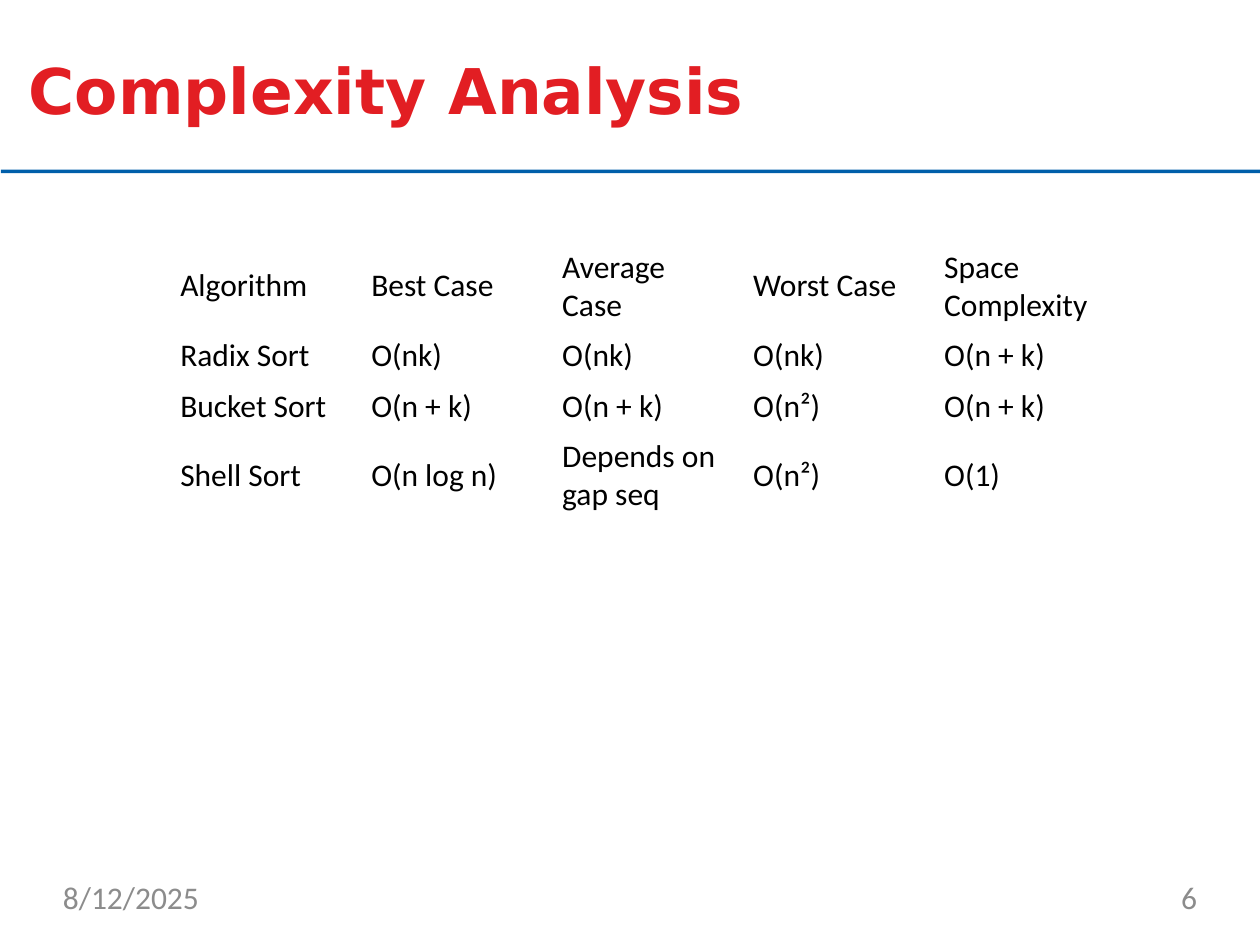
from pptx import Presentation
from pptx.dml.color import RGBColor
from pptx.enum.shapes import MSO_SHAPE
from pptx.enum.text import MSO_ANCHOR, PP_ALIGN
from pptx.util import Cm, Pt

COMPLEXITIES = [
    ["Algorithm", "Best Case", "Average Case", "Worst Case", "Space Complexity"],
    ["Radix Sort", "O(nk)", "O(nk)", "O(nk)", "O(n + k)"],
    ["Bucket Sort", "O(n + k)", "O(n + k)", "O(n²)", "O(n + k)"],
    ["Shell Sort", "O(n log n)", "Depends on gap seq", "O(n²)", "O(1)"],
]
ROW_HEIGHTS = [1.57, 0.91, 0.91, 1.57]
COLUMN_WIDTH = 3.85


def color(hex_code):
    return RGBColor.from_string(hex_code)


def style(paragraph, size, hex_code, font="Calibri", bold=False):
    paragraph.font.name = font
    paragraph.font.size = Pt(size)
    paragraph.font.bold = bold
    paragraph.font.color.rgb = color(hex_code)


def add_text(slide, text, left, top, width, height, inset_left=0, inset_top=0):
    box = slide.shapes.add_textbox(Cm(left), Cm(top), Cm(width), Cm(height))
    frame = box.text_frame
    frame.word_wrap = True
    frame.margin_left, frame.margin_top = Cm(inset_left), Cm(inset_top)
    frame.margin_right = frame.margin_bottom = 0
    paragraph = frame.paragraphs[0]
    paragraph.text = text
    return paragraph


def add_rule(slide):
    rule = slide.shapes.add_shape(
        MSO_SHAPE.RECTANGLE, Cm(0.02), Cm(3.42), Cm(25.4), Cm(0.07))
    rule.shadow.inherit = False
    rule.fill.solid()
    rule.fill.fore_color.rgb = color("005FAA")
    rule.line.fill.background()


def add_complexity_table(slide, left, top):
    column_count = len(COMPLEXITIES[0])
    table = slide.shapes.add_table(
        len(COMPLEXITIES), column_count, Cm(left), Cm(top),
        Cm(COLUMN_WIDTH * column_count), Cm(sum(ROW_HEIGHTS))).table
    table.first_row = table.horz_banding = False
    for column in table.columns:
        column.width = Cm(COLUMN_WIDTH)
    for row, height, entries in zip(table.rows, ROW_HEIGHTS, COMPLEXITIES):
        row.height = Cm(height)
        for cell, entry in zip(row.cells, entries):
            cell.text = entry
            cell.fill.background()
            cell.vertical_anchor = MSO_ANCHOR.MIDDLE
            style(cell.text_frame.paragraphs[0], 18, "000000")


def main():
    presentation = Presentation()
    presentation.slide_width, presentation.slide_height = Cm(25.4), Cm(19.05)
    slide = presentation.slides.add_slide(presentation.slide_layouts[6])

    # Heading with its rule
    add_rule(slide)
    title = add_text(slide, "Complexity Analysis", 0.4, 0.2, 23, 2.4,
                     inset_left=0.18, inset_top=0.84)
    title.space_before = Pt(1.1)
    style(title, 36, "E21E23", "DejaVu Sans", bold=True)

    # Footer
    date = add_text(slide, "8/12/2025", 1.27, 17.7, 5.84, 0.97)
    page_number = add_text(slide, "6", 18.29, 17.7, 5.84, 0.97)
    page_number.alignment = PP_ALIGN.RIGHT
    for footer in (date, page_number):
        style(footer, 18, "8C8C8C")

    # Comparison of the sorting algorithms
    add_complexity_table(slide, 3.38, 4.88)

    presentation.save("out.pptx")


if __name__ == "__main__":
    main()
